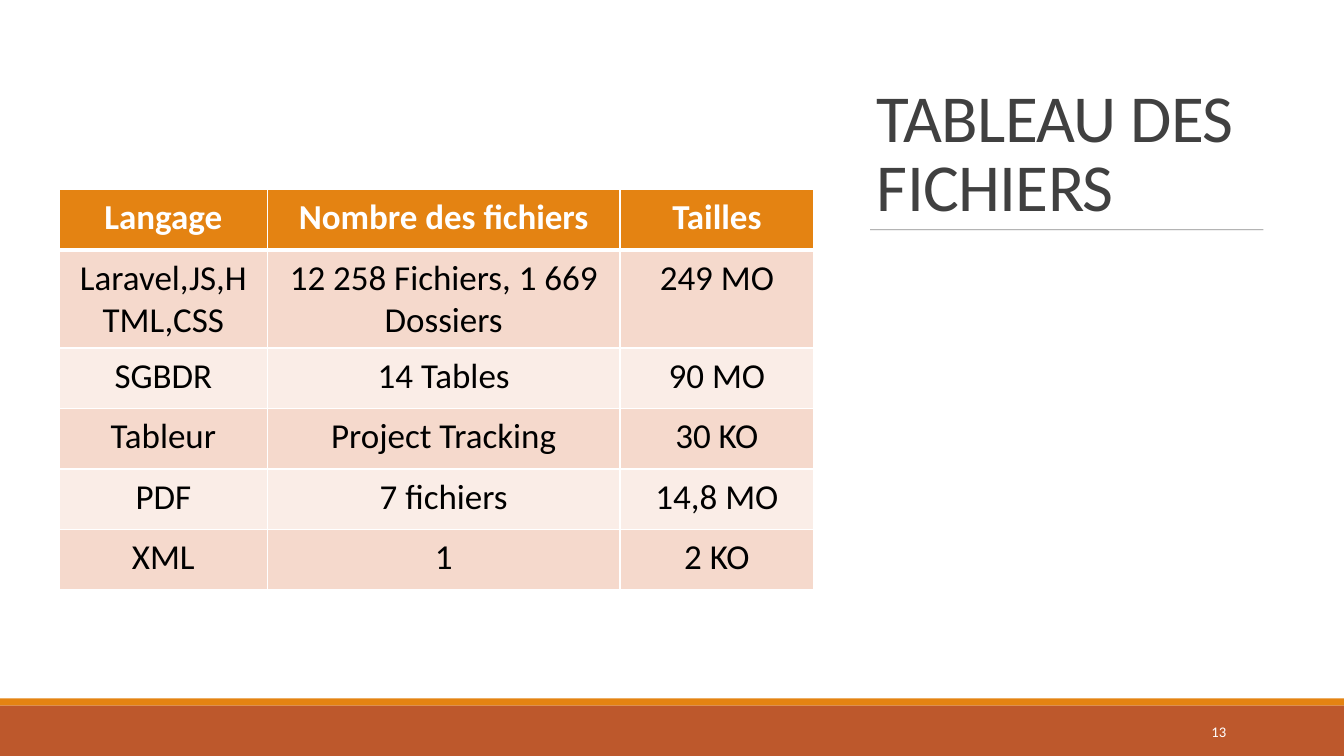
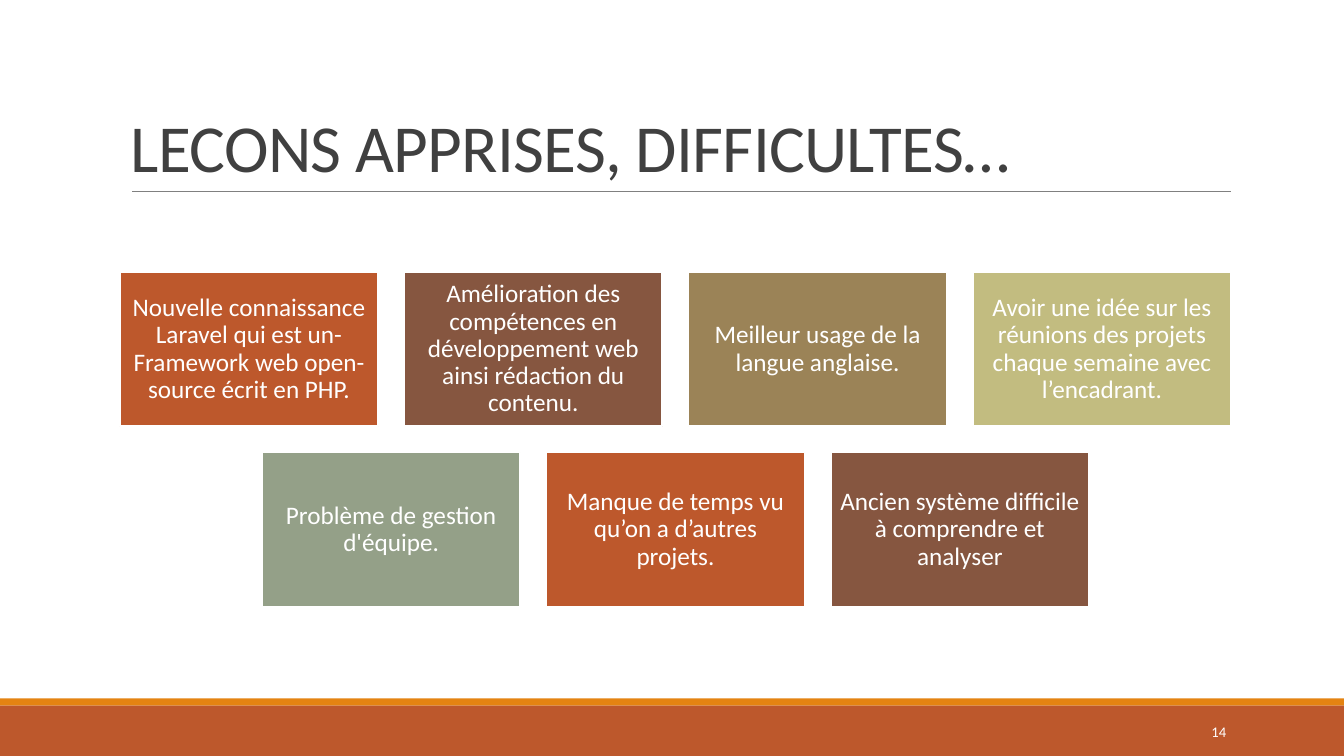
"""Build two slides: a table of project files and a grid of lessons learned."""
from lxml.etree import SubElement
from pptx import Presentation
from pptx.dml.color import RGBColor
from pptx.enum.shapes import MSO_CONNECTOR, MSO_SHAPE
from pptx.enum.text import MSO_ANCHOR, PP_ALIGN
from pptx.oxml import parse_xml
from pptx.oxml.ns import nsdecls, qn
from pptx.util import Inches, Pt

COLORS = {
    "white": "FFFFFF", "black": "000000", "title": "404040", "rule": "808080",
    "orange": "E48312", "rust": "BD582C", "brown": "865640", "khaki": "9B8357",
    "lime": "C2BC80", "sage": "94A088", "row_dark": "F5D9CC", "row_light": "FAEDE7",
}
FONT = "Calibri"


def rgb(name):
    return RGBColor.from_string(COLORS[name])


def write(frame, text, size, color, align, anchor, spacing=1.0, bold=False):
    frame.word_wrap = True
    frame.vertical_anchor = anchor
    paragraph = frame.paragraphs[0]
    paragraph.alignment = align
    paragraph.line_spacing = spacing
    run = paragraph.add_run()
    run.text = text
    run.font.name = FONT
    run.font.size = Pt(size)
    run.font.bold = bold
    run.font.color.rgb = rgb(color)
    return run


prs = Presentation()
prs.slide_width, prs.slide_height = Inches(13.33), Inches(7.5)

headings = [
    ("TABLEAU DES FICHIERS", (8.6, 0.69, 4.04, 1.59), (8.63, 12.53), 90, "13"),
    ("LECONS APPRISES, DIFFICULTES…", (1.2, 0.31, 11, 1.59), (1.31, 12.21), 100, "14"),
]
for heading, box, (rule_left, rule_right), opacity, number in headings:
    slide = prs.slides.add_slide(prs.slide_layouts[6])
    for top, height, color in [(6.93, 0.07, "orange"), (7, 0.5, "rust")]:
        band = slide.shapes.add_shape(
            MSO_SHAPE.RECTANGLE, 0, Inches(top), prs.slide_width, Inches(height))
        band.shadow.inherit = False
        band.fill.solid()
        band.fill.fore_color.rgb = rgb(color)
        band.line.fill.background()

    title = slide.shapes.add_textbox(*map(Inches, box))
    title_run = write(title.text_frame, heading, 48, "title",
                      PP_ALIGN.LEFT, MSO_ANCHOR.BOTTOM, 0.85)
    title_run.font._element.set("spc", "-50")

    rule_top = Inches(box[1] + box[3])
    rule = slide.shapes.add_connector(
        MSO_CONNECTOR.STRAIGHT, Inches(rule_left), rule_top, Inches(rule_right), rule_top)
    rule.line.width = Pt(0.5)
    rule.line.color.rgb = rgb("rule")
    if opacity < 100:
        rule_color = rule._element.spPr.find(".//" + qn("a:srgbClr"))
        SubElement(rule_color, qn("a:alpha")).set("val", str(opacity * 1000))
    SubElement(rule._element.spPr, qn("a:effectLst"))

    page_number = slide.shapes.add_textbox(
        Inches(10.83), Inches(7.06), Inches(1.43), Inches(0.4))
    write(page_number.text_frame, number, 10.5, "white", PP_ALIGN.RIGHT, MSO_ANCHOR.MIDDLE)

files_slide, lessons_slide = prs.slides

files = [
    ("Langage", "Nombre des fichiers", "Tailles"),
    ("Laravel,JS,HTML,CSS", "12 258 Fichiers, 1 669 Dossiers", "249 MO"),
    ("SGBDR", "14 Tables", "90 MO"),
    ("Tableur", "Project Tracking", "30 KO"),
    ("PDF", "7 fichiers", "14,8 MO"),
    ("XML", "1", "2 KO"),
]
column_widths = [2.06, 3.5, 1.92]
row_heights = [0.6, 0.97, 0.6, 0.6, 0.6, 0.6]
files_table = files_slide.shapes.add_table(
    len(files), len(column_widths), Inches(0.59), Inches(1.88),
    Inches(sum(column_widths)), Inches(sum(row_heights))).table
for column, width in zip(files_table.columns, column_widths):
    column.width = Inches(width)
for row, height in zip(files_table.rows, row_heights):
    row.height = Inches(height)

for row_index, entries in enumerate(files):
    header = row_index == 0
    row_fill = "orange" if header else ("row_light", "row_dark")[row_index % 2]
    for column_index, entry in enumerate(entries):
        cell = files_table.cell(row_index, column_index)
        cell.fill.solid()
        cell.fill.fore_color.rgb = rgb(row_fill)
        cell.margin_left = cell.margin_right = Inches(0.14)
        cell.margin_top = cell.margin_bottom = Inches(0.07)
        write(cell.text_frame, entry, 25, "white" if header else "black",
              PP_ALIGN.CENTER, MSO_ANCHOR.TOP, bold=header)
        for position, side in enumerate("LRTB"):
            heavy = (header and side == "B") or (row_index == 1 and side == "T")
            border = parse_xml(
                f'<a:ln{side} {nsdecls("a")} w="{Pt(3 if heavy else 1)}"><a:solidFill>'
                f'<a:srgbClr val="{COLORS["white"]}"/></a:solidFill></a:ln{side}>')
            cell._tc.get_or_add_tcPr().insert(position, border)

lesson_rows = [
    [
        ("Nouvelle connaissance Laravel qui est un-Framework web open-source écrit en PHP.", "rust"),
        ("Amélioration des compétences en développement web ainsi rédaction du contenu.", "brown"),
        ("Meilleur usage de la langue anglaise.", "khaki"),
        ("Avoir une idée sur les réunions des projets chaque semaine avec l’encadrant.", "lime"),
    ],
    [
        ("Problème de gestion d'équipe.", "sage"),
        ("Manque de temps vu qu’on a d’autres projets.", "rust"),
        ("Ancien système difficile à comprendre et analyser", "brown"),
    ],
]
tile_width, tile_height, gap = 2.56, 1.53, 0.26
grid_center, grid_top = 6.7, 2.7
for row_index, lessons in enumerate(lesson_rows):
    row_width = len(lessons) * (tile_width + gap) - gap
    for column_index, (lesson, color) in enumerate(lessons):
        tile = lessons_slide.shapes.add_shape(
            MSO_SHAPE.RECTANGLE,
            Inches(grid_center - row_width / 2 + column_index * (tile_width + gap)),
            Inches(grid_top + row_index * (tile_height + gap)),
            Inches(tile_width), Inches(tile_height))
        tile.shadow.inherit = False
        tile.fill.solid()
        tile.fill.fore_color.rgb = rgb(color)
        tile.line.color.rgb = rgb("white")
        tile.line.width = Pt(1.25)
        frame = tile.text_frame
        frame.margin_left = frame.margin_right = Inches(0.07)
        frame.margin_top = frame.margin_bottom = Inches(0.07)
        write(frame, lesson, 18, "white", PP_ALIGN.CENTER, MSO_ANCHOR.MIDDLE, 0.9)

prs.save("out.pptx")
